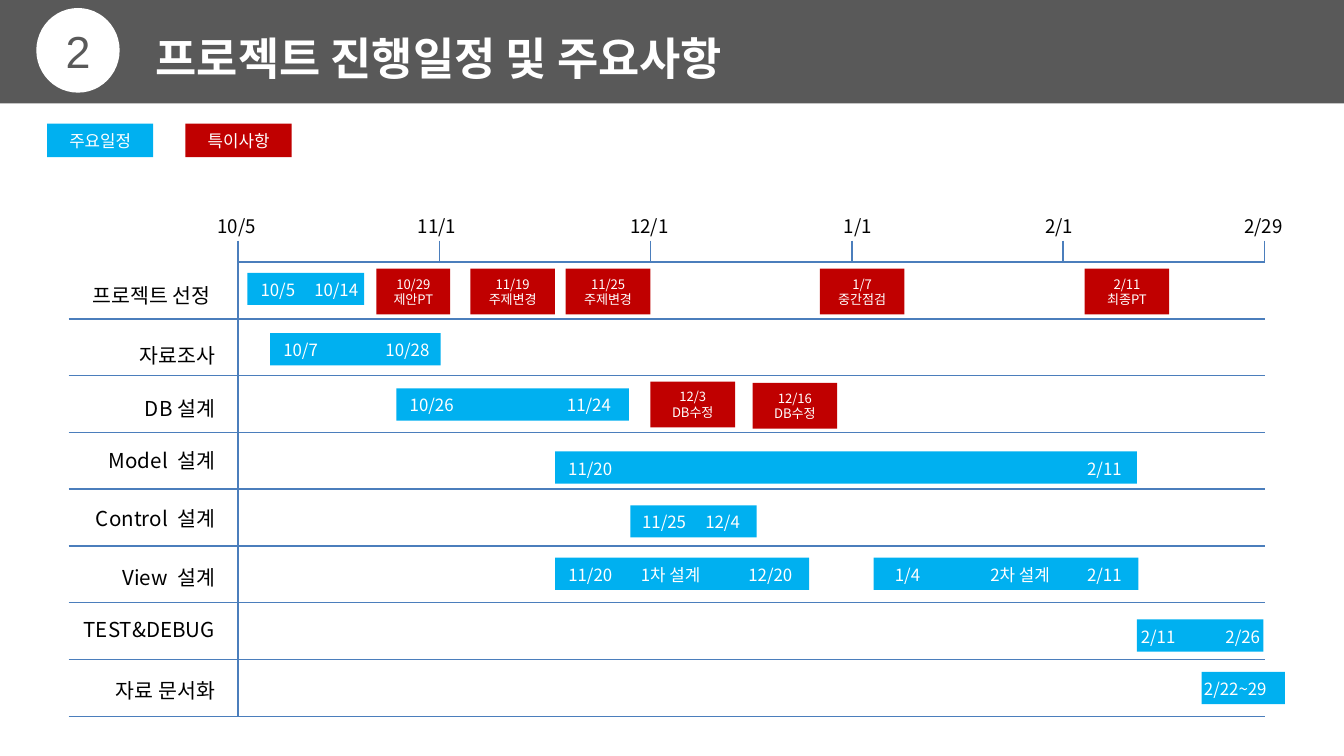
from pptx import Presentation
from pptx.dml.color import RGBColor
from pptx.enum.shapes import MSO_CONNECTOR, MSO_SHAPE
from pptx.enum.text import MSO_ANCHOR, PP_ALIGN
from pptx.oxml.ns import qn
from pptx.util import Inches, Pt
from lxml.etree import SubElement

GRAY = RGBColor(0x59, 0x59, 0x59)
WHITE = RGBColor(0xFF, 0xFF, 0xFF)
BLACK = RGBColor(0x00, 0x00, 0x00)
BLUE = RGBColor(0x00, 0xB0, 0xF0)
RED = RGBColor(0xC0, 0x00, 0x00)
LINE = RGBColor(0x4B, 0x7E, 0xBC)
FONT = "Noto Sans CJK KR"

# Widescreen 16:9
presentation = Presentation()
presentation.slide_width = Inches(10)
presentation.slide_height = Inches(10 * 9 / 16)
slide = presentation.slides.add_slide(presentation.slide_layouts[6])


def add_block(left, top, width, height, fill=None, text="", size=9, color=WHITE,
              align=PP_ALIGN.CENTER, kind=MSO_SHAPE.RECTANGLE, font=FONT, bold=False):
    """Add a filled shape, or a text box when there is no fill."""
    box = [Inches(value) for value in (left, top, width, height)]
    if fill is None:
        shape = slide.shapes.add_textbox(*box)
    else:
        shape = slide.shapes.add_shape(kind, *box)
        shape.shadow.inherit = False
        shape.fill.solid()
        shape.fill.fore_color.rgb = fill
        shape.line.fill.background()
    if text:
        frame = shape.text_frame
        frame.word_wrap = True
        frame.vertical_anchor = MSO_ANCHOR.MIDDLE
        frame.margin_top = frame.margin_bottom = 0
        if fill is not None:
            frame.margin_left = frame.margin_right = Inches(0.02)
        paragraph = frame.paragraphs[0]
        paragraph.text = text
        paragraph.alignment = align
        for run in paragraph.runs:
            run.font.name = font
            run.font.size = Pt(size)
            run.font.bold = bold
            run.font.color.rgb = color
            SubElement(run.font._element, qn("a:ea")).set("typeface", font)
    return shape


def add_line(x1, y1, x2, y2):
    line = slide.shapes.add_connector(
        MSO_CONNECTOR.STRAIGHT, Inches(x1), Inches(y1), Inches(x2), Inches(y2))
    line.line.color.rgb = LINE
    line.line.width = Pt(0.75)
    SubElement(line._element.spPr, qn("a:effectLst"))


# Header band with number and title
add_block(0, 0, 10, 0.77, GRAY)
add_block(0.27, 0.06, 0.62, 0.63, WHITE, "2", 24, GRAY, kind=MSO_SHAPE.OVAL, font="Arial")
add_block(1.06, 0.18, 5.43, 0.5, text="프로젝트 진행일정 및 주요사항", size=24,
          align=PP_ALIGN.LEFT, bold=True)

# Legend
add_block(0.35, 0.92, 0.79, 0.25, BLUE, "주요일정")
add_block(1.38, 0.92, 0.79, 0.25, RED, "특이사항")

# Chart grid: time axis, row rules and vertical axis
AXIS_LEFT, AXIS_RIGHT, AXIS_TOP, AXIS_BOTTOM = 1.77, 9.41, 1.95, 5.33
row_labels = [
    ("프로젝트 선정 ", 2.05), ("자료조사", 2.5), ("DB 설계", 2.89), ("Model  설계", 3.28),
    ("Control  설계", 3.71), ("View  설계", 4.15), ("TEST&DEBUG", 4.54), ("자료 문서화", 4.99),
]
row_height = (AXIS_BOTTOM - AXIS_TOP) / len(row_labels)
add_line(AXIS_LEFT, AXIS_TOP, AXIS_RIGHT, AXIS_TOP)
add_line(AXIS_LEFT, AXIS_TOP, AXIS_LEFT, AXIS_BOTTOM)
for row, (label, top) in enumerate(row_labels, start=1):
    y = AXIS_TOP + row * row_height
    add_line(0.51, y, AXIS_RIGHT, y)
    add_block(0.2, top, 1.5, 0.29, text=label, size=11, color=BLACK, align=PP_ALIGN.RIGHT)

# Axis ticks: date, tick position, label left, label width
ticks = [
    ("10/5", AXIS_LEFT, 1.52, 0.49), ("11/1", 3.27, 3.01, 0.49), ("12/1", 4.84, 4.59, 0.49),
    ("1/1", 6.34, 6.18, 0.41), ("2/1", 7.91, 7.68, 0.41), ("2/29", AXIS_RIGHT, 9.16, 0.49),
]
for date, x, label_left, label_width in ticks:
    add_line(x, 1.79, x, AXIS_TOP)
    label = add_block(label_left, 1.55, label_width, 0.27, text=date, size=10, color=BLACK,
                      align=PP_ALIGN.LEFT)
    label.text_frame.word_wrap = False

# Schedule bars: left, top, width, captions with their lefts and widths
bars = [
    (1.84, 2.03, 0.87, [("10/5", 1.84, 0.48), ("10/14", 2.24, 0.87)]),
    (2.01, 2.48, 1.27, [("10/7", 2.01, 0.51), ("10/28", 2.77, 0.66)]),
    (2.95, 2.89, 1.73, [("10/26", 2.95, 0.95), ("11/24", 4.12, 0.55)]),
    (4.13, 3.36, 4.33, [("11/20", 4.13, 1.27), ("2/11", 7.99, 1.35)]),
    (4.69, 3.76, 0.94, [("11/25", 4.68, 0.64), ("12/4", 5.15, 0.64)]),
    (4.13, 4.15, 1.89, [("11/20", 4.13, 1.35), ("1차 설계", 4.67, 0.8), ("12/20", 5.47, 0.55)]),
    (6.5, 4.15, 1.97, [("1/4", 6.56, 1.35), ("2차 설계", 7.27, 0.8), ("2/11", 7.99, 0.63)]),
    (8.46, 4.61, 0.94, [("2/11", 8.39, 0.66), ("2/26", 9.02, 0.63)]),
    (8.94, 5, 0.62, [("2/22~29", 8.86, 0.79)]),
]
for left, top, width, captions in bars:
    add_block(left, top, width, 0.24, BLUE)
    for caption, caption_left, caption_width in captions:
        add_block(caption_left, top, caption_width, 0.25, text=caption, align=PP_ALIGN.LEFT)

# Special events: left, top, width, text
events = [
    (2.8, 2, 0.55, "10/29\n제안PT"), (3.5, 2, 0.63, "11/19\n주제변경"),
    (4.21, 2, 0.63, "11/25\n주제변경"), (6.1, 2, 0.63, "1/7\n중간점검"),
    (8.07, 2, 0.63, "2/11\n최종PT"), (4.84, 2.84, 0.63, "12/3\nDB수정"),
    (5.6, 2.85, 0.63, "12/16\nDB수정"),
]
for left, top, width, text in events:
    add_block(left, top, width, 0.34, RED, text, 7)

presentation.save("out.pptx")
